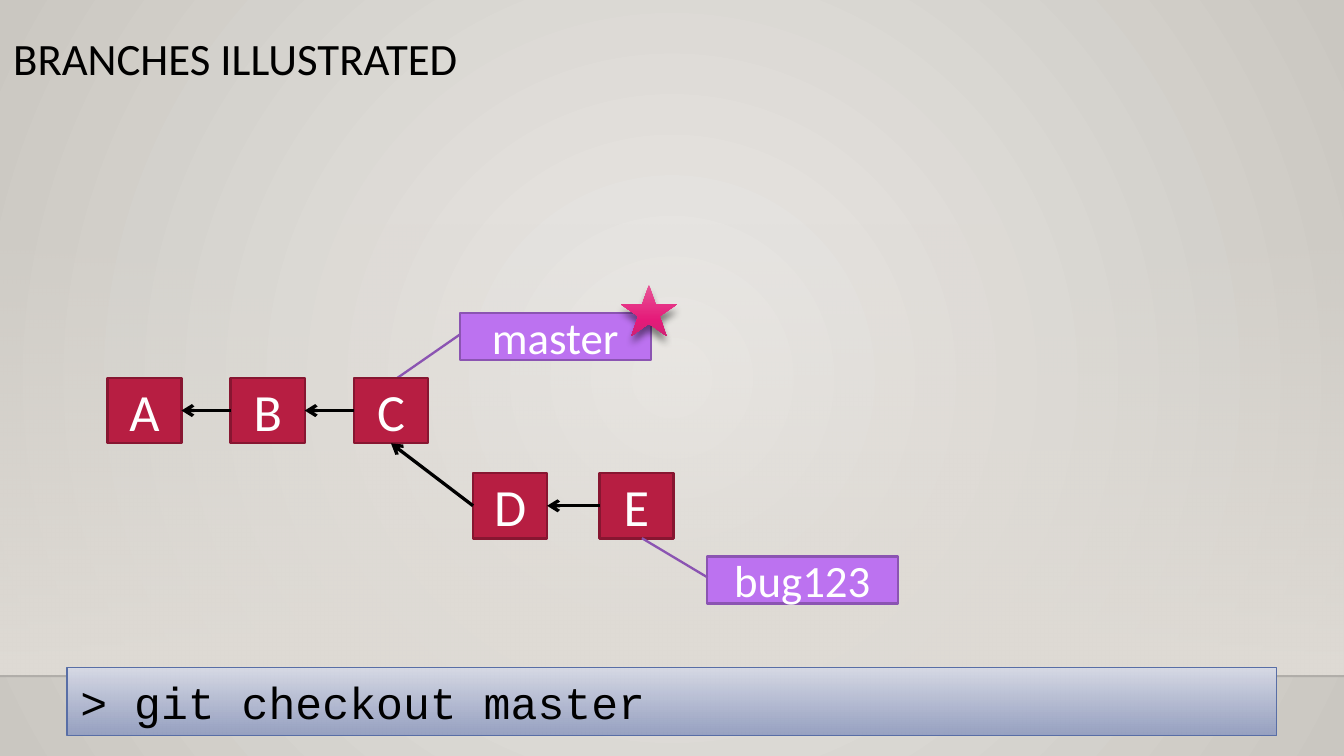
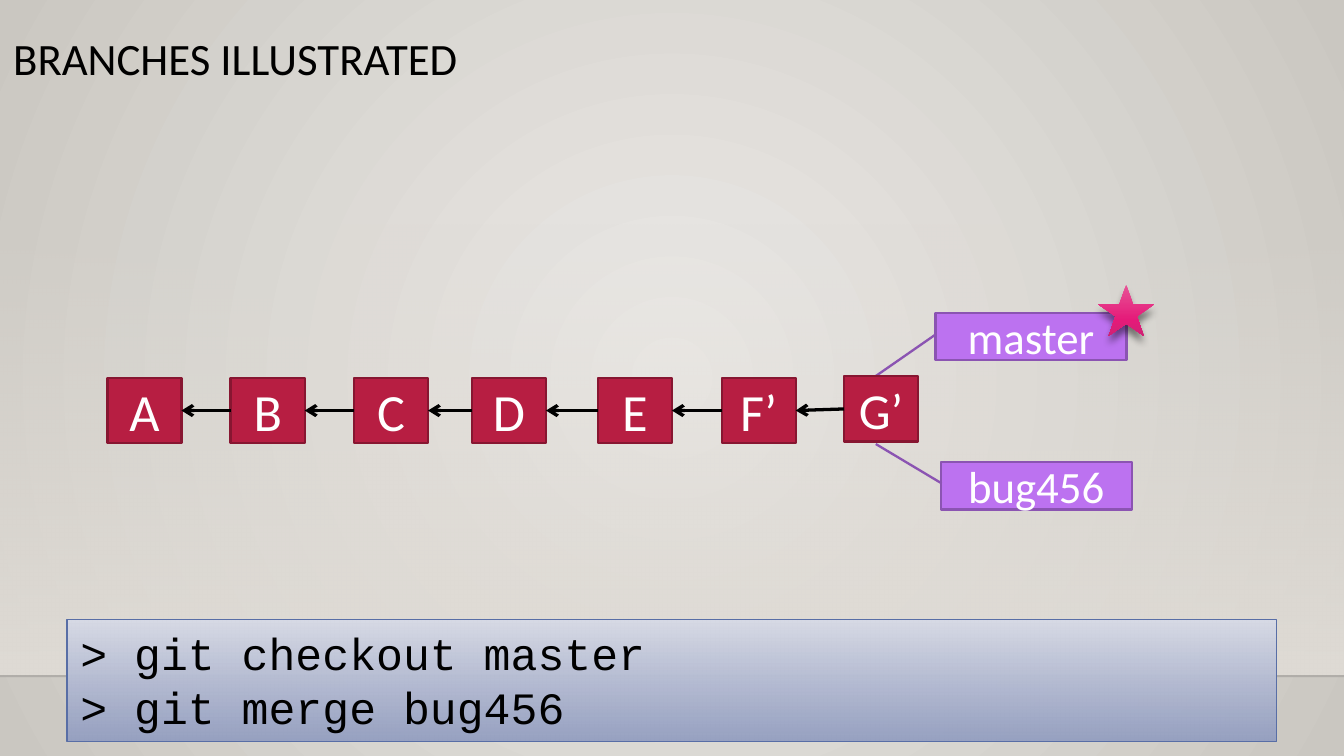
"""Builds two slides that show commits and branches as a diagram."""
from pptx import Presentation
from pptx.dml.color import RGBColor
from pptx.enum.shapes import MSO_CONNECTOR, MSO_SHAPE
from pptx.enum.text import MSO_ANCHOR, MSO_AUTO_SIZE, PP_ALIGN
from pptx.oxml import parse_xml
from pptx.oxml.ns import nsdecls, qn
from pptx.util import Cm, Pt

WIDTH, HEIGHT = 25.4, 14.29
SANS, MONO = "Calibri", "Courier New"
BLACK, WHITE = "000000", "FFFFFF"
COMMIT, COMMIT_EDGE = "B71E42", "871631"
LABEL, LABEL_EDGE = "BC72F0", "8B54B2"
BAR_EDGE, HORIZON = "586EA6", "000001"
BACKDROP = [(0, "ECEAE7", 100), (100, "CAC7C1", 100)]
GLOW = [(0, "DFDBD5", 0), (100, "DFDBD5", 100)]
BAR = [(0, "D6D9E5", 100), (100, "929DC0", 92)]
STAR = [(0, "E75597", 100), (69, "E51A79", 100), (100, "CF2374", 100)]
DOWNWARD = '<a:lin ang="5400000" scaled="0"/>'
FROM_CENTRE = ('<a:path path="circle"><a:fillToRect l="50000" t="50000" '
               'r="50000" b="50000"/></a:path>')
COMMIT_WIDTH, COMMIT_HEIGHT = 1.4, 1.24
LABEL_WIDTH, LABEL_HEIGHT = 3.61, 0.89
STAR_WIDTH, STAR_HEIGHT = 1.07, 0.97
ROW, LOWER_ROW, LAST_ROW = 7.14, 8.94, 7.11
LEADER_DOWN = (0.446, 0.004, 1.383, -0.329)
LEADER_UP = (0.446, 0.004, -0.389, -0.34)
TOP, LEFT, BOTTOM, RIGHT = range(4)


def colour(value):
    """Turn a hex string into a colour."""
    return RGBColor.from_string(value)


def alpha_xml(value, alpha):
    """Return colour XML with an opacity in percent."""
    return f'<a:srgbClr val="{value}"><a:alpha val="{alpha * 1000}"/></a:srgbClr>'


def set_gradient(holder, stops, direction):
    """Replace the solid fill inside an element with a gradient."""
    marks = "".join(f'<a:gs pos="{place * 1000}">{alpha_xml(value, alpha)}</a:gs>'
                    for place, value, alpha in stops)
    gradient = parse_xml(f'<a:gradFill {nsdecls("a")} rotWithShape="1">'
                         f'<a:gsLst>{marks}</a:gsLst>{direction}</a:gradFill>')
    holder.replace(holder.find(qn("a:solidFill")), gradient)


def add_block(page, kind, area, fill, edge=None, width=1.25):
    """Add a preset shape with a plain or gradient fill."""
    block = page.shapes.add_shape(kind, *map(Cm, area))
    block.shadow.inherit = False
    block.fill.solid()
    if isinstance(fill, str):
        block.fill.fore_color.rgb = colour(fill)
    else:
        set_gradient(block.element.spPr, fill, DOWNWARD)
    if edge:
        block.line.color.rgb = colour(edge)
        block.line.width = Pt(width)
    else:
        block.line.fill.background()
    return block


def add_line(page, start, end, value, width):
    """Add a straight connector without a shadow."""
    line = page.shapes.add_connector(MSO_CONNECTOR.STRAIGHT, *map(Cm, start + end))
    line.line.color.rgb = colour(value)
    line.line.width = Pt(width)
    line.element.spPr.append(parse_xml(f'<a:effectLst {nsdecls("a")}/>'))
    return line


def write(box, lines, font, size, value, align=PP_ALIGN.LEFT, anchor=MSO_ANCHOR.TOP):
    """Write one paragraph for each line of text."""
    frame = box.text_frame
    frame.word_wrap = True
    frame.vertical_anchor = anchor
    for index, line in enumerate(lines):
        para = frame.add_paragraph() if index else frame.paragraphs[0]
        para.alignment = align
        span = para.add_run()
        span.text = line
        span.font.name = font
        span.font.size = Pt(size)
        span.font.color.rgb = colour(value)
    return frame


def add_page(deck, title):
    """Add a page with the shared backdrop and title."""
    page = deck.slides.add_slide(deck.slide_layouts[6])
    floor = 12.78
    add_block(page, MSO_SHAPE.RECTANGLE, (0, 4.22, WIDTH, 8.56), GLOW)
    horizon = add_line(page, (0, floor), (WIDTH, floor), HORIZON, 1)
    ink = horizon.line._ln.find(qn("a:solidFill"))
    ink.replace(ink[0], parse_xml(alpha_xml(HORIZON, 20).replace(
        "<a:srgbClr", f'<a:srgbClr {nsdecls("a")}', 1)))
    box = page.shapes.add_textbox(Cm(0), Cm(0.58), Cm(22.86), Cm(2.39))
    write(box, [title], SANS, 24, BLACK).paragraphs[0].line_spacing = 0.9
    return page


def add_commit(page, name, left, top, size=28):
    """Add one commit square."""
    area = (left, top, COMMIT_WIDTH, COMMIT_HEIGHT)
    box = add_block(page, MSO_SHAPE.RECTANGLE, area, COMMIT, COMMIT_EDGE)
    write(box, [name], SANS, size, WHITE, PP_ALIGN.CENTER, MSO_ANCHOR.MIDDLE)
    return box


def add_arrow(page, child, parent, side):
    """Point an arrow from a commit to its parent."""
    arrow = add_line(page, (0, 0), (1, 1), BLACK, 1.75)
    arrow.begin_connect(child, LEFT)
    arrow.end_connect(parent, side)
    arrow.line._ln.append(parse_xml(f'<a:tailEnd {nsdecls("a")} type="arrow"/>'))


def add_history(page, commits):
    """Add commits, each with an arrow to the one before."""
    parent = None
    for commit in commits:
        child = add_commit(page, *commit)
        if parent is not None:
            drops = child.top > parent.top + parent.height
            add_arrow(page, child, parent, BOTTOM if drops else RIGHT)
        parent = child


def add_label(page, name, left, top, leader):
    """Add a branch label whose leader reaches a commit."""
    area = (left, top, LABEL_WIDTH, LABEL_HEIGHT)
    box = add_block(page, MSO_SHAPE.LINE_CALLOUT_1, area, LABEL, LABEL_EDGE)
    for index, value in enumerate(leader):
        box.adjustments[index] = value
    write(box, [name], SANS, 24, WHITE, PP_ALIGN.CENTER, MSO_ANCHOR.MIDDLE)


def add_star(page, left):
    """Mark the current branch with a star."""
    area = (left, 5.38, STAR_WIDTH, STAR_HEIGHT)
    star = add_block(page, MSO_SHAPE.STAR_5_POINT, area, STAR)
    star.element.spPr.find(qn("a:effectLst")).append(parse_xml(
        f'<a:outerShdw {nsdecls("a")} blurRad="{Pt(4)}" dist="{Pt(4)}" '
        f'dir="5400000" rotWithShape="0">{alpha_xml(BLACK, 48)}</a:outerShdw>'))


def add_commands(page, top, height, lines):
    """Add the bar of typed commands."""
    bar = add_block(page, MSO_SHAPE.RECTANGLE, (1.27, top, 22.86, height),
                    BAR, BAR_EDGE, 0.75)
    frame = write(bar, lines, MONO, 24, BLACK)
    frame.auto_size = MSO_AUTO_SIZE.SHAPE_TO_FIT_TEXT


def main():
    """Build and save the deck."""
    deck = Presentation()
    deck.slide_width, deck.slide_height = Cm(WIDTH), Cm(HEIGHT)
    master = deck.slide_master
    master.background.fill.solid()
    set_gradient(next(master.element.iter(qn("p:bgPr"))), BACKDROP, FROM_CENTRE)
    title = "BRANCHES ILLUSTRATED"
    trunk = [(name, 2.03 + 2.33 * index, ROW) for index, name in enumerate("ABC")]

    page = add_page(deck, title)
    add_label(page, "master", 8.69, 5.92, LEADER_DOWN)
    add_commands(page, 12.62, 1.28, ["> git checkout master"])
    add_history(page, trunk + [("D", 8.94, LOWER_ROW), ("E", 11.33, LOWER_ROW)])
    add_label(page, "bug123", 13.36, 10.52, LEADER_UP)
    add_star(page, 11.73)

    page = add_page(deck, title)
    add_label(page, "master", 17.68, 5.92, LEADER_DOWN)
    add_commands(page, 11.71, 2.31, ["> git checkout master", "> git merge bug456"])
    add_history(page, trunk + [("D", 8.92, ROW), ("E", 11.3, ROW),
                               ("F’", 13.64, ROW), ("G’", 15.95, LAST_ROW, 27)])
    add_label(page, "bug456", 17.78, 8.74, LEADER_UP)
    add_star(page, 20.75)

    deck.save("out.pptx")


if __name__ == "__main__":
    main()
